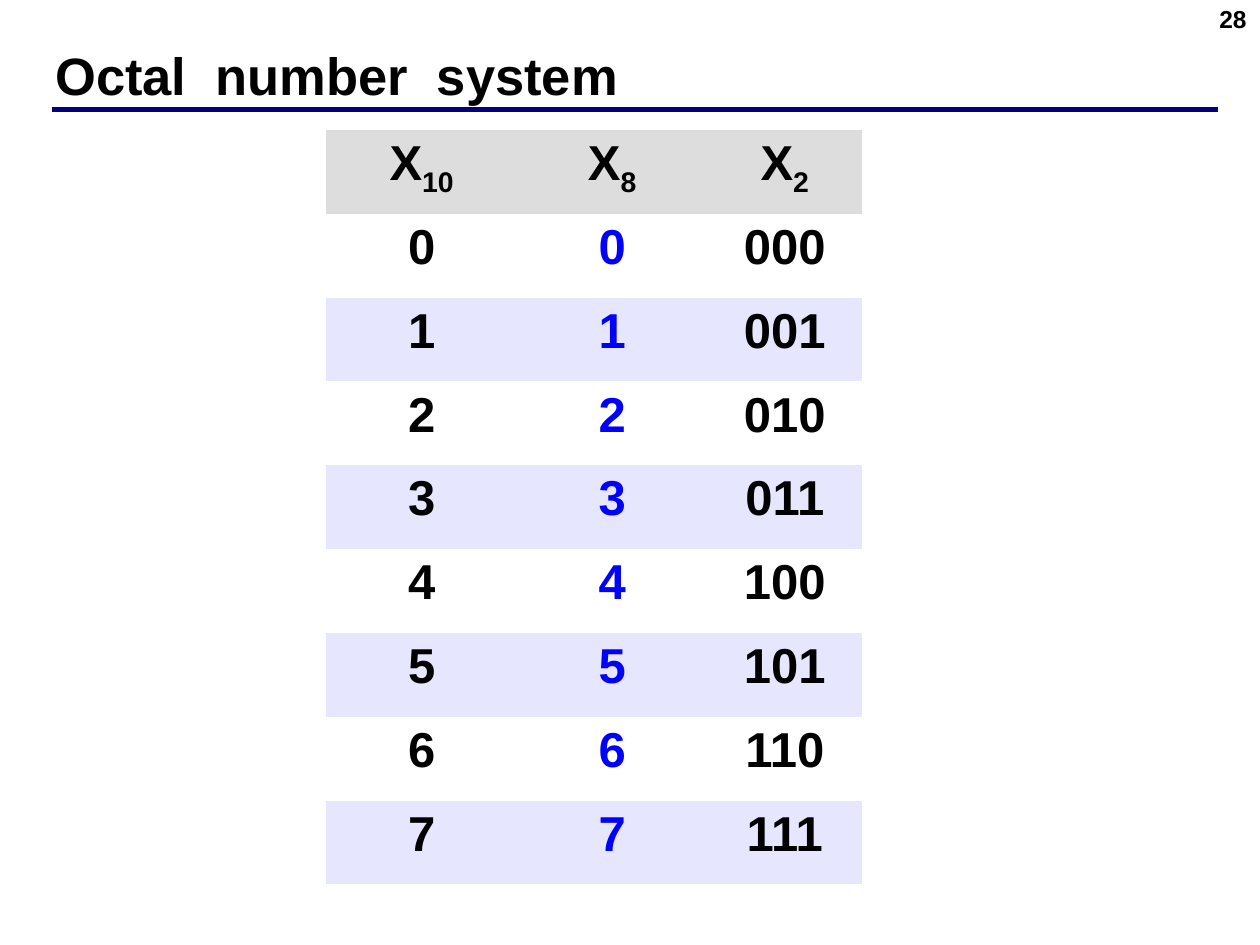
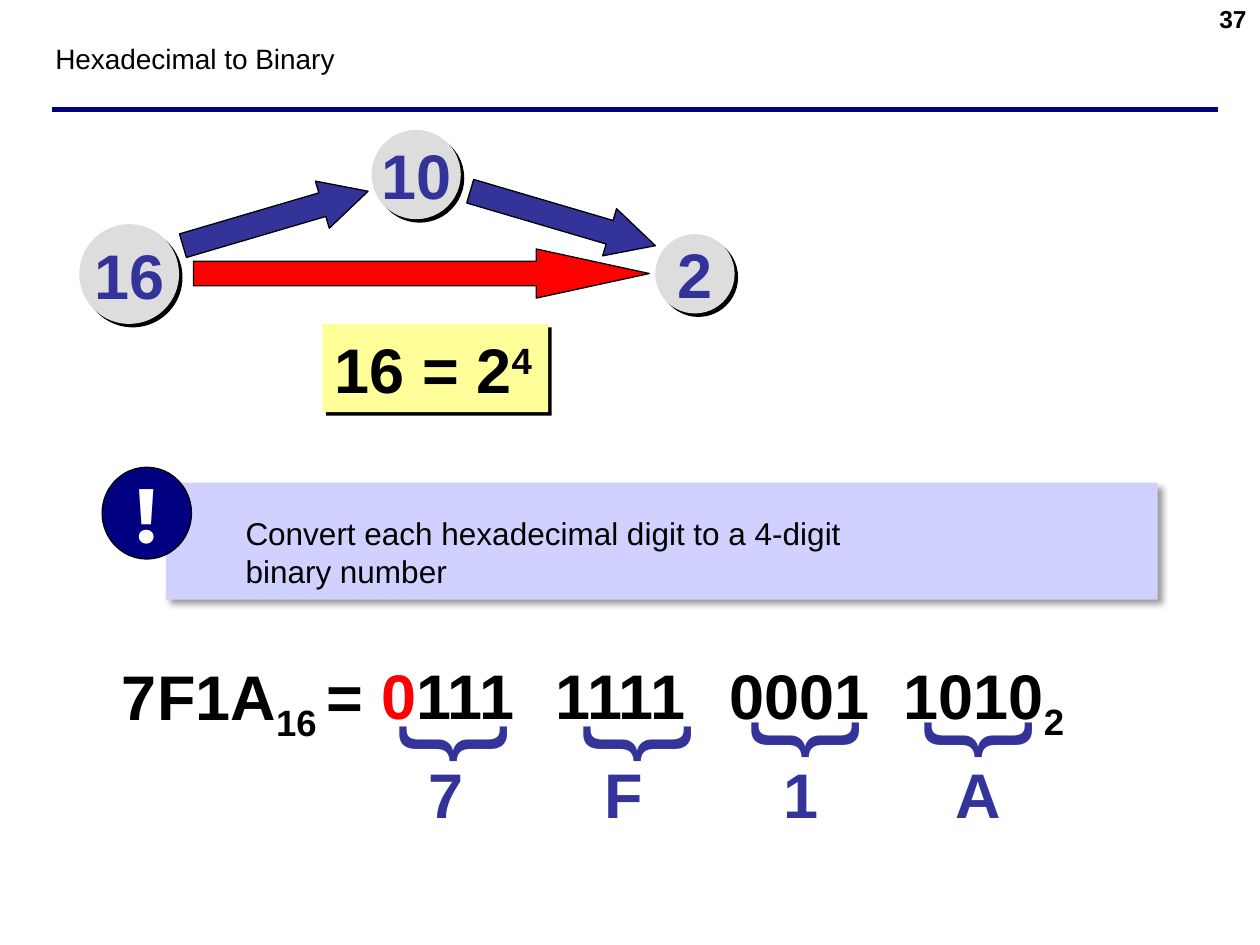
"""Build two slides on octal and hexadecimal numbers."""
from lxml import etree
from pptx import Presentation
from pptx import util as u
from pptx.dml.color import RGBColor
from pptx.enum import shapes, text
from pptx.oxml import ns

BLACK = RGBColor(0x00, 0x00, 0x00)
WHITE = RGBColor(0xFF, 0xFF, 0xFF)
NAVY = RGBColor(0x00, 0x00, 0x80)
INDIGO = RGBColor(0x33, 0x33, 0x99)
BLUE = RGBColor(0x00, 0x00, 0xFF)
RED = RGBColor(0xFF, 0x00, 0x00)
GREY = RGBColor(0xDD, 0xDD, 0xDD)
LAVENDER = RGBColor(0xE6, 0xE6, 0xFF)
PERIWINKLE = RGBColor(0xD1, 0xD1, 0xFF)
YELLOW = RGBColor(0xFF, 0xFF, 0x99)

FONT = "Arial"
SUBSCRIPT, SUPERSCRIPT = -25000, 30000
PLAIN_TABLE_STYLE = "{2D5ABB26-0587-4C30-8999-92F81FD0307C}"


def cm(*lengths):
    """Turn centimetre numbers into lengths."""
    return [u.Cm(length) for length in lengths]


def style_run(run, size, color, bold, baseline=0, font=FONT):
    """Format one run."""
    run.font.name = font
    run.font.size = u.Pt(size)
    run.font.bold = bold
    run.font.color.rgb = color
    if baseline:
        run._r.get_or_add_rPr().set("baseline", str(baseline))


def write(frame, content, size=36, color=BLACK, bold=True, align=text.PP_ALIGN.LEFT, font=FONT):
    """Write a string or a list of (text, color, baseline) parts."""
    parts = [(content, color, 0)] if isinstance(content, str) else content
    paragraph = frame.paragraphs[0]
    paragraph.alignment = align
    for part, part_color, baseline in parts:
        run = paragraph.add_run()
        run.text = part
        style_run(run, size, part_color, bold, baseline, font)


def add_text(slide, box, content, wrap=True, margins=None, rotation=0, **style):
    """Add a text box; margins are left, top, right, bottom in cm."""
    shape = slide.shapes.add_textbox(*cm(*box))
    shape.rotation = rotation
    frame = shape.text_frame
    frame.word_wrap = wrap
    if margins:
        (frame.margin_left, frame.margin_top,
         frame.margin_right, frame.margin_bottom) = cm(*margins)
    write(frame, content, **style)


def add_shadow(shape, blur, distance, opacity):
    """Give a shape a black shadow to the lower right."""
    effects = shape.element.spPr.find(ns.qn("a:effectLst"))
    shadow = etree.SubElement(effects, ns.qn("a:outerShdw"), blurRad=str(u.Pt(blur)),
                              dist=str(u.Pt(distance)), dir="2700000",
                              algn="tl", rotWithShape="0")
    color = etree.SubElement(shadow, ns.qn("a:srgbClr"), val=str(BLACK))
    etree.SubElement(color, ns.qn("a:alpha"), val=str(opacity * 1000))


def add_filled(slide, kind, box, fill, outlined=False):
    """Add a preset shape with a plain fill."""
    shape = slide.shapes.add_shape(kind, *cm(*box))
    shape.fill.solid()
    shape.fill.fore_color.rgb = fill
    if outlined:
        shape.line.color.rgb = BLACK
        shape.line.width = u.Pt(0.75)
    else:
        shape.line.fill.background()
    shape.shadow.inherit = False
    return shape


def add_circle(slide, box, label, fill, outlined=False, **style):
    """Add a circle with a centred label."""
    circle = add_filled(slide, shapes.MSO_SHAPE.OVAL, box, fill, outlined)
    circle.text_frame.word_wrap = False
    circle.text_frame.vertical_anchor = text.MSO_ANCHOR.MIDDLE
    write(circle.text_frame, label, align=text.PP_ALIGN.CENTER, **style)
    return circle


def add_arrow(slide, box, fill, head, rotation=0):
    """Add a block arrow pointing right, turned by rotation."""
    arrow = add_filled(slide, shapes.MSO_SHAPE.RIGHT_ARROW, box, fill, outlined=True)
    arrow.adjustments[0] = 0.5
    arrow.adjustments[1] = head
    arrow.rotation = rotation


def prepare_layout(layout, slide):
    """Place the title and the rule on the layout, drawing the rule on slide first."""
    title = layout.placeholders[0]
    title.left, title.top, title.width, title.height = cm(0.86, 0.84, 23.27, 1.32)
    rule = slide.shapes.add_connector(shapes.MSO_CONNECTOR.STRAIGHT,
                                      *cm(1.04, 2.21, 24.56, 2.21))
    rule.line.color.rgb = NAVY
    rule.line.width = u.Pt(3)
    etree.SubElement(rule.element.spPr, ns.qn("a:effectLst"))
    layout.shapes.element.append(rule.element)


def add_heading(slide, title, number, size, bold, anchor):
    """Fill in the title and the slide number."""
    frame = slide.shapes.title.text_frame
    frame.vertical_anchor = anchor
    frame.margin_top = frame.margin_bottom = 0
    write(frame, title, size=size, bold=bold)
    add_text(slide, (19.46, -0.05, 5.92, 1.32), number, size=14, align=text.PP_ALIGN.RIGHT)


def add_octal_table(slide):
    """Add the table of decimal, octal and binary digits."""
    widths, row_height = (3.84, 3.84, 3.12), 1.69
    header = [[("X", BLACK, 0), (base, BLACK, SUBSCRIPT)] for base in ("10", "8", "2")]
    rows = [header] + [[str(n), str(n), f"{n:03b}"] for n in range(8)]
    frame = slide.shapes.add_table(len(rows), len(widths),
                                   *cm(6.58, 2.62, sum(widths), row_height * len(rows)))
    frame.element.find(".//" + ns.qn("a:tableStyleId")).text = PLAIN_TABLE_STYLE
    table = frame.table
    for column, width in zip(table.columns, widths):
        column.width = u.Cm(width)
    for i, values in enumerate(rows):
        table.rows[i].height = u.Cm(row_height)
        for j, value in enumerate(values):
            cell = table.cell(i, j)
            if i % 2 and i:
                cell.fill.background()
            else:
                cell.fill.solid()
                cell.fill.fore_color.rgb = LAVENDER if i else GREY
            write(cell.text_frame, value, size=28, color=BLUE if j == 1 else BLACK,
                  align=text.PP_ALIGN.CENTER)


def add_base_diagram(slide):
    """Add the circles and arrows from base 16 to base 2."""
    for label, left, top, size in (("16", 1.6, 4.52, 2.01), ("10", 7.49, 2.62, 1.8),
                                   ("2", 13.21, 4.72, 1.6)):
        circle = add_circle(slide, (left, top, size, size), label, GREY, color=INDIGO)
        add_shadow(circle, 0, 2.8, 100)
    for left, rotation in ((3.61, -16.4), (9.4, 16.4)):
        add_arrow(slide, (left, 3.91, 3.89, 0.99), INDIGO, 0.97, rotation)
    add_arrow(slide, (3.9, 5.02, 9.19, 0.99), RED, 2.3)
    note = add_filled(slide, shapes.MSO_SHAPE.RECTANGLE, (6.5, 6.53, 4.55, 1.78), YELLOW)
    add_shadow(note, 0, 2.8, 100)
    note.text_frame.word_wrap = False
    write(note.text_frame, [("16 = 2", BLACK, 0), ("4", BLACK, SUPERSCRIPT)])


def add_hint(slide):
    """Add the highlighted rule with its exclamation badge."""
    band = add_filled(slide, shapes.MSO_SHAPE.RECTANGLE, (3.35, 9.73, 19.99, 2.36), PERIWINKLE)
    add_shadow(band, 4, 3, 40)
    add_circle(slide, (2.06, 9.42, 1.8, 1.85), "!", NAVY, outlined=True,
               size=44, color=WHITE, font="Montserrat")
    add_text(slide, (4.7, 10.24, 14.35, 1.8),
             "Convert each hexadecimal digit to a 4-digit binary number", size=18, bold=False)


def add_conversion(slide):
    """Add the worked example, one group of bits per digit."""
    add_text(slide, (2.21, 13.13, 5.54, 1.78),
             [("7F1A", BLACK, 0), ("16 ", BLACK, SUBSCRIPT), ("=", BLACK, 0)], wrap=False)
    groups = (
        ("7", [("0", RED, 0), ("111", BLACK, 0)], 8.41, 13.61),
        ("F", "1111", 12.12, 13.61),
        ("1", "0001", 15.52, 13.51),
        ("A", [("1010", BLACK, 0), ("2", BLACK, SUBSCRIPT)], 19, 13.51),
    )
    for i, (digit, bits, brace_left, brace_top) in enumerate(groups):
        add_text(slide, (7.29 + 3.51 * i, 13.23, 3.79, 1.52), bits, margins=(0.4, 0, 0.05, 0))
        add_text(slide, (brace_left, brace_top, 0.79, 2.79), "{", wrap=False,
                 margins=(0, 0, 0, 0), rotation=270, size=66, color=INDIGO, bold=False)
        add_text(slide, (8.24 + 3.58 * i, 15.11, 1.5, 1.78), digit,
                 color=INDIGO, align=text.PP_ALIGN.CENTER)


def main():
    """Build and save the presentation."""
    presentation = Presentation()
    presentation.slide_width, presentation.slide_height = cm(25.4, 19.05)
    layout = presentation.slide_layouts.get_by_name("Title Only")
    octal = presentation.slides.add_slide(layout)
    hexadecimal = presentation.slides.add_slide(layout)
    prepare_layout(layout, octal)

    add_heading(octal, "Octal  number  system", "28", 30, True, text.MSO_ANCHOR.MIDDLE)
    add_octal_table(octal)

    add_heading(hexadecimal, "Hexadecimal to Binary", "37", 16, False, text.MSO_ANCHOR.TOP)
    add_base_diagram(hexadecimal)
    add_hint(hexadecimal)
    add_conversion(hexadecimal)
    presentation.save("out.pptx")


if __name__ == "__main__":
    main()
